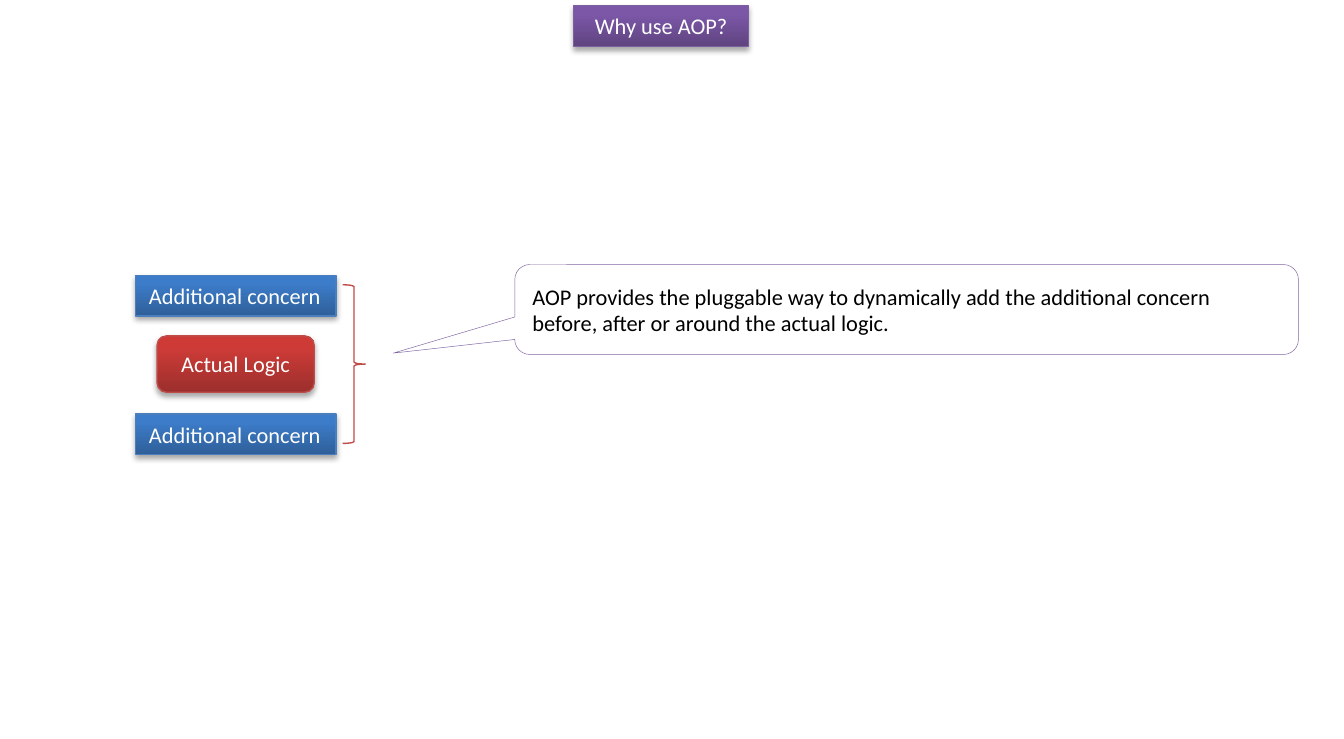
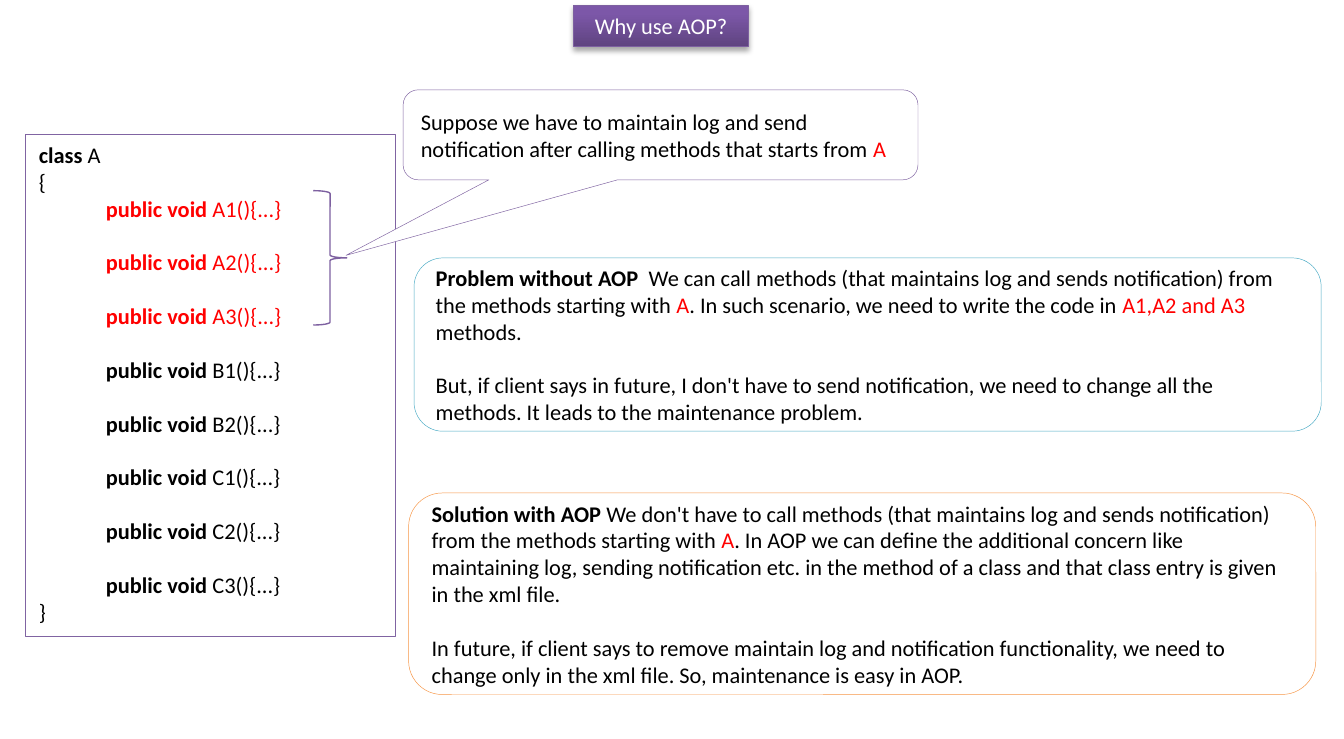
from dataclasses import dataclass, field

from lxml import etree
from pptx import Presentation
from pptx.dml import color
from pptx.enum import shapes, text
from pptx.oxml import ns
from pptx.util import Pt

KINDS = shapes.MSO_SHAPE


@dataclass
class Theme:
    font: str = "Calibri"
    size: float = 12
    line_pitch: float = 14.4
    indent: float = 36
    gradients: dict = field(default_factory=lambda: {
        "purple": ("5F4480", "7C57A8", "7D60A0"),
        "red": ("9C2F2D", "CE3B37", "BF4C48"),
        "blue": ("2F5F99", "3C7CC9", "4B7EBC"),
    })
    outlines: dict = field(default_factory=lambda: {
        "code": ("8064A2", 0.5),
        "callout": ("8064A2", 0.25),
        "problem": ("4BACC6", 0.25),
        "solution": ("F79646", 0.25),
    })
    runs: dict = field(default_factory=lambda: {
        "plain": ("000000", False),
        "bold": ("000000", True),
        "red": ("FF0000", False),
        "red bold": ("FF0000", True),
        "light": ("FFFFFF", False),
    })


THEME = Theme()

TITLE = "Why use AOP?"
TITLE_BOX = (307.4, 2.9, 93.6, 22)

CONCERN = "Additional concern"
CONCERN_LEFT, CONCERN_WIDTH, CONCERN_HEIGHT = 72.7, 107.3, 21.8
CONCERN_TOPS = (147.6, 221.8)
LOGIC = ("Actual Logic", (84.2, 180, 84.2, 30.2))
CONCERN_BRACE = (183.6, 152.6, 12.2, 85)
AOP_CALLOUT = (275.8, 141.8, 419.8, 48.2)
AOP_TEXT = [[("AOP provides the pluggable way to dynamically add the additional concern "
              "before, after or around the actual logic.", "plain")]]

METHODS = ("A1", "A2", "A3", "B1", "B2", "C1", "C2", "C3")
CODE_BOX = (13.7, 72, 198, 269.3)
METHOD_BRACE = (167.8, 102.2, 18, 72)
LOG_CALLOUT = (216, 48.2, 275.8, 48.2)
LOG_TEXT = [[("Suppose we have to maintain log and send notification after calling "
              "methods that starts from ", "plain"), ("A", "red")]]

ARGUMENTS = [
    ("problem", (221.8, 138.2, 486, 92.9), [
        [("Problem without AOP ", "bold"),
         (" We can call methods (that maintains log and sends notification) from the "
          "methods starting with ", "plain"),
         ("A", "red"),
         (". In such scenario, we need to write the code in ", "plain"),
         ("A1,A2 and A3 ", "red"),
         ("methods.", "plain")],
        [("But, if client says in future, I don't have to send notification, we need to "
          "change all the methods. It leads to the maintenance problem.", "plain")],
    ]),
    ("solution", (218.9, 264.2, 486, 108), [
        [("Solution with AOP", "bold"),
         (" We don't have to call methods (that maintains log and sends notification) "
          "from the methods starting with ", "plain"),
         ("A", "red"),
         (". In AOP we can define the additional concern like maintaining log, sending "
          "notification etc. in the method of a class and that class entry is given in "
          "the xml file.", "plain")],
        [("In future, if client says to remove maintain log and notification "
          "functionality, we need to change only in the xml file. So, maintenance is "
          "easy in AOP.", "plain")],
    ]),
]


def set_attributes(target, values):
    for name, value in values.items():
        setattr(target, name, value)


def place(shape, box):
    names = ("left", "top", "width", "height")
    set_attributes(shape, dict(zip(names, map(Pt, box))))


def rgb(value):
    return color.RGBColor.from_string(value)


def outline(shape, line_color, width):
    shape.line.color.rgb = rgb(line_color)
    shape.line.width = Pt(width)


def add_shape(slide, kind, box):
    shape = slide.shapes.add_shape(kind, *map(Pt, box))
    shape.shadow.inherit = False
    return shape


def add_runs(paragraph, runs):
    for words, style in runs:
        run = paragraph.add_run()
        run.text = words
        run_color, bold = THEME.runs[style]
        set_attributes(run.font, {"name": THEME.font, "size": Pt(THEME.size), "bold": bold})
        run.font.color.rgb = rgb(run_color)


def write(shape, paragraphs, gap=0, align=text.PP_ALIGN.LEFT,
          anchor=text.MSO_ANCHOR.MIDDLE, wrap=True):
    frame = shape.text_frame
    set_attributes(frame, {"word_wrap": wrap, "vertical_anchor": anchor})
    for index, runs in enumerate(paragraphs):
        paragraph = frame.add_paragraph() if index else frame.paragraphs[0]
        set_attributes(paragraph, {"alignment": align, "space_before": Pt(gap if index else 0)})
        add_runs(paragraph, runs)


def style_raised(shape, name):
    dark, light, edge = THEME.gradients[name]
    shape.fill.gradient()
    shape.fill.gradient_angle = 90
    for stop, value, position in zip(shape.fill.gradient_stops, (dark, light), (0, 0.8)):
        stop.color.rgb = rgb(value)
        stop.position = position
    outline(shape, edge, 0.75)
    shape.shadow.inherit = False
    effects = shape._element.spPr.find(ns.qn("a:effectLst"))
    shadow = etree.SubElement(effects, ns.qn("a:outerShdw"), blurRad=str(Pt(3.1)),
                              dist=str(Pt(1.8)), dir="5400000", rotWithShape="0")
    shadow_color = etree.SubElement(shadow, ns.qn("a:srgbClr"), val="000000")
    etree.SubElement(shadow_color, ns.qn("a:alpha"), val="35000")


def add_raised(slide, kind, box, name, label, **layout):
    shape = add_shape(slide, kind, box)
    style_raised(shape, name)
    write(shape, [[(label, "light")]], **layout)


def add_panel(slide, kind, box, name, paragraphs, adjustments=(), **layout):
    shape = add_shape(slide, kind, box)
    for index, value in enumerate(adjustments):
        shape.adjustments[index] = value
    shape.fill.solid()
    shape.fill.fore_color.rgb = rgb("FFFFFF")
    outline(shape, *THEME.outlines[name])
    write(shape, paragraphs, **layout)
    return shape


def add_brace(slide, box, name):
    brace = add_shape(slide, KINDS.RIGHT_BRACE, box)
    brace.fill.background()
    outline(brace, THEME.gradients[name][2], 0.75)


def add_titled_slide(presentation):
    slide = presentation.slides.add_slide(presentation.slide_layouts[5])
    title = slide.shapes.title
    place(title, TITLE_BOX)
    style_raised(title, "purple")
    write(title, [[(TITLE, "light")]], align=text.PP_ALIGN.CENTER)
    return slide


def build_concept(slide):
    label, box = LOGIC
    add_raised(slide, KINDS.ROUNDED_RECTANGLE, box, "red", label, align=text.PP_ALIGN.CENTER)
    for top in CONCERN_TOPS:
        add_raised(slide, KINDS.RECTANGLE, (CONCERN_LEFT, top, CONCERN_WIDTH, CONCERN_HEIGHT),
                   "blue", CONCERN, wrap=False)
    add_brace(slide, CONCERN_BRACE, "red")
    add_panel(slide, KINDS.ROUNDED_RECTANGULAR_CALLOUT, AOP_CALLOUT, "callout", AOP_TEXT,
              (-0.655, 0.485, 0.167))


def build_code(slide):
    methods = [[("public void ", "red bold" if name[0] == "A" else "bold"),
                (f"{name}(){{...}}", "red" if name[0] == "A" else "plain")]
               for name in METHODS]
    lines = [[("class ", "bold"), ("A", "plain")], [("{", "plain")], *methods, [("}", "plain")]]
    panel = add_panel(slide, KINDS.RECTANGLE, CODE_BOX, "code", lines,
                      anchor=text.MSO_ANCHOR.TOP)
    for index, paragraph in enumerate(panel.text_frame.paragraphs[2:-1]):
        paragraph.level = 1
        paragraph._p.get_or_add_pPr().set("marL", str(Pt(THEME.indent)))
        paragraph.space_before = Pt(THEME.line_pitch if index else 0)


def build_example(slide):
    build_code(slide)
    add_brace(slide, METHOD_BRACE, "purple")
    add_panel(slide, KINDS.ROUNDED_RECTANGULAR_CALLOUT, LOG_CALLOUT, "callout", LOG_TEXT,
              (-0.611, 1.34, 0.167))
    for name, box, paragraphs in ARGUMENTS:
        add_panel(slide, KINDS.ROUNDED_RECTANGLE, box, name, paragraphs, gap=THEME.line_pitch)


def main():
    presentation = Presentation()
    set_attributes(presentation, {"slide_width": Pt(720), "slide_height": Pt(396)})
    for build in (build_concept, build_example):
        build(add_titled_slide(presentation))
    presentation.save("out.pptx")


if __name__ == "__main__":
    main()
